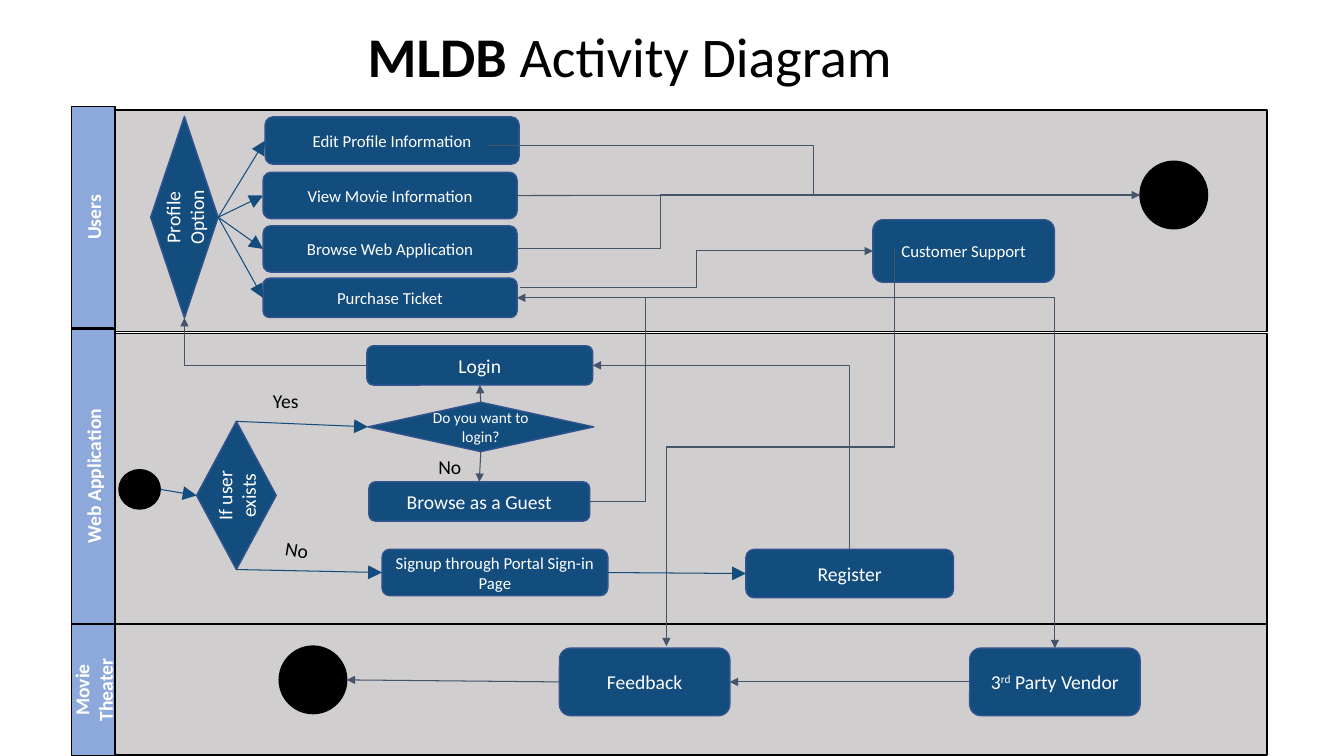
from dataclasses import dataclass
from typing import NamedTuple

from lxml import etree
from pptx import Presentation
from pptx.dml.color import RGBColor
from pptx.enum.shapes import MSO_CONNECTOR, MSO_SHAPE
from pptx.enum.text import MSO_ANCHOR, PP_ALIGN
from pptx.oxml.ns import qn
from pptx.util import Inches, Pt

RECTANGLE = MSO_SHAPE.RECTANGLE
ROUNDED = MSO_SHAPE.ROUNDED_RECTANGLE
DIAMOND = MSO_SHAPE.DIAMOND
CIRCLE = MSO_SHAPE.OVAL
STRAIGHT = MSO_CONNECTOR.STRAIGHT
ELBOW = MSO_CONNECTOR.ELBOW
CENTER = PP_ALIGN.CENTER
LEFT = PP_ALIGN.LEFT
TOP = MSO_ANCHOR.TOP
MIDDLE = MSO_ANCHOR.MIDDLE
BOTTOM = MSO_ANCHOR.BOTTOM

CELL = 0.1
FONT = "Calibri"
BLACK = "000000"
WHITE = "FFFFFF"
LANE_FILL = "D0CECE"
LANE_LABEL = "8DA9DB"
NODE_FILL = "134D7E"
NODE_LINE = "31538F"
FLOW_LINE = "44546A"


class Box(NamedTuple):
    column: float
    row: float
    columns: float
    rows: float


class Piece(NamedTuple):
    text: str
    bold: bool = False
    raised: bool = False


class Anchor(NamedTuple):
    node: str
    side: str
    columns: float = 0
    rows: float = 0


@dataclass
class Lane:
    name: str
    box: Box
    label_row: float
    label_rows: float


@dataclass
class Node:
    box: Box
    kind: int
    pieces: tuple = ()
    size: float = 14
    upright: bool = False
    fill: str = NODE_FILL
    line: str = NODE_LINE


@dataclass
class Note:
    text: str
    box: Box
    rotation: float = 0


@dataclass
class Link:
    begin: Anchor
    end: Anchor
    color: str = FLOW_LINE
    route: str = "straight"
    bend: float = 0.5
    arrow: bool = True


def activity(text: str, box: Box, size: float = 14) -> Node:
    return Node(box, ROUNDED, (Piece(text),), size)


def terminal(box: Box) -> Node:
    return Node(box, CIRCLE, fill=BLACK, line=BLACK)


LANES = [
    Lane("Users", Box(11.4, 10.9, 114.3, 22), 10.55, 22),
    Lane("Web Application", Box(11.4, 33.1, 114.3, 29.4), 32.65, 29.2),
    Lane("Movie Theater", Box(11.4, 61.9, 114.3, 13), 61.95, 13),
]

NODES = {
    "profile": Node(Box(14.95, 11.55, 6.7, 20), DIAMOND, (Piece("Profile Option"),), upright=True),
    "start": terminal(Box(11.8, 46.6, 4.1, 3.9)),
    "edit": activity("Edit Profile Information", Box(26.3, 11.6, 25.2, 4.7), 12),
    "view": activity("View Movie Information", Box(26.1, 17.1, 25.2, 4.6), 12),
    "browse": activity("Browse Web Application", Box(26.1, 22.4, 25.2, 4.6), 12),
    "ticket": activity("Purchase Ticket", Box(26.1, 27.6, 25.2, 3.9), 12),
    "support": activity("Customer Support", Box(86.6, 21.8, 18, 6.2), 12),
    "users end": terminal(Box(113.1, 16, 6.7, 6.7)),
    "login": activity("Login", Box(36.4, 34.3, 22.4, 3.9)),
    "wants login": Node(Box(36.5, 39.9, 22.4, 4.9), DIAMOND, (Piece("Do you want to login?"),), 11),
    "exists": Node(Box(19.5, 41.8, 7.9, 14.7), DIAMOND, (Piece("If user exists"),), upright=True),
    "guest": activity("Browse as a Guest", Box(36.6, 47.8, 21.9, 3.9)),
    "signup": activity("Signup through Portal Sign-in Page", Box(37.9, 54.5, 22.4, 4.6), 12),
    "register": activity("Register", Box(74, 54.5, 20.6, 4.8)),
    "theater end": terminal(Box(27.7, 64.1, 6.7, 6.7)),
    "feedback": activity("Feedback", Box(55.5, 64.3, 16.9, 6.7)),
    "vendor": Node(Box(96.2, 64.3, 16.9, 6.7), ROUNDED,
                   (Piece("3"), Piece("rd", raised=True), Piece(" Party Vendor"))),
}

NOTES = [
    Note("Yes", Box(26.1, 38, 6.7, 1.6)),
    Note("No", Box(27.5, 52.6, 6.7, 2.2), 9.2),
    Note("No", Box(42.5, 44.4, 4.9, 1.7)),
]

LINKS = [
    *(Link(Anchor("profile", "right"), Anchor(option, "left"), NODE_FILL)
      for option in ("edit", "view", "browse", "ticket")),
    Link(Anchor("start", "right"), Anchor("exists", "left"), NODE_FILL),
    Link(Anchor("exists", "top"), Anchor("wants login", "left"), NODE_FILL),
    Link(Anchor("exists", "bottom"), Anchor("signup", "left"), NODE_FILL),
    Link(Anchor("signup", "right"), Anchor("register", "left"), NODE_FILL),
    Link(Anchor("wants login", "top"), Anchor("login", "bottom")),
    Link(Anchor("wants login", "bottom"), Anchor("guest", "top")),
    Link(Anchor("feedback", "left"), Anchor("theater end", "right")),
    Link(Anchor("vendor", "left"), Anchor("feedback", "right")),
    Link(Anchor("login", "left"), Anchor("profile", "bottom"), route="corner"),
    Link(Anchor("guest", "right"), Anchor("ticket", "right"), route="step", bend=-0.77),
    Link(Anchor("register", "top"), Anchor("login", "right"), route="upright corner"),
    Link(Anchor("ticket", "right"), Anchor("vendor", "top"), route="corner"),
    Link(Anchor("support", "left", 2.1, -0.3), Anchor("feedback", "top", 2.15, -0.2),
         route="upright step"),
    Link(Anchor("browse", "right"), Anchor("users end", "left"), route="step", bend=0.23,
         arrow=False),
    Link(Anchor("edit", "right", -3.1, 0.45), Anchor("users end", "left"), route="step"),
    Link(Anchor("view", "right"), Anchor("users end", "left"), arrow=False),
    Link(Anchor("ticket", "right", 0.3, -1), Anchor("support", "left"), route="step"),
]


def color(value: str) -> RGBColor:
    return RGBColor.from_string(value)


def emu(*cells: float) -> list:
    return [Inches(cell * CELL) for cell in cells]


def turned(box: Box) -> Box:
    shift = (box.columns - box.rows) / 2
    return Box(box.column + shift, box.row - shift, box.rows, box.columns)


def write(shape, pieces, size, ink, align, anchor, insets) -> None:
    frame = shape.text_frame
    frame.word_wrap = True
    frame.vertical_anchor = anchor
    frame.margin_left = frame.margin_right = Inches(insets[0])
    frame.margin_top = frame.margin_bottom = Inches(insets[1])
    paragraph = frame.paragraphs[0]
    paragraph.alignment = align
    for piece in pieces:
        run = paragraph.add_run()
        run.text = piece.text
        run.font.name = FONT
        run.font.size = Pt(size)
        run.font.bold = piece.bold
        run.font.color.rgb = color(ink)
        if piece.raised:
            run.font._element.set("baseline", "30000")


def draw_node(slide, node: Node) -> None:
    box = turned(node.box) if node.upright else node.box
    shape = slide.shapes.add_shape(node.kind, *emu(*box))
    shape.rotation = 270 if node.upright else 0
    shape.shadow.inherit = False
    shape.fill.solid()
    shape.fill.fore_color.rgb = color(node.fill)
    shape.line.color.rgb = color(node.line)
    shape.line.width = Pt(1)
    write(shape, node.pieces, node.size, WHITE, CENTER, MIDDLE, (0.07, 0.04))


def draw_lane(slide, lane: Lane) -> None:
    draw_node(slide, Node(lane.box, RECTANGLE, fill=LANE_FILL, line=BLACK))
    label = Box(7.1, lane.label_row, 4.3, lane.label_rows)
    draw_node(slide, Node(label, RECTANGLE, (Piece(lane.name, bold=True),), upright=True,
                          fill=LANE_LABEL, line=BLACK))


def draw_note(slide, note: Note) -> None:
    shape = slide.shapes.add_textbox(*emu(*note.box))
    shape.rotation = note.rotation
    write(shape, (Piece(note.text),), 14, BLACK, LEFT, TOP, (0.1, 0.1))


def locate(anchor: Anchor) -> tuple:
    box = NODES[anchor.node].box
    across, down = {"left": (0, 0.5), "right": (1, 0.5), "top": (0.5, 0),
                    "bottom": (0.5, 1)}[anchor.side]
    return (box.column + across * box.columns + anchor.columns,
            box.row + down * box.rows + anchor.rows)


def draw_link(slide, link: Link) -> None:
    begin, end = locate(link.begin), locate(link.end)
    upright = link.route.startswith("upright")
    if upright:
        middle, center = [(first + last) / 2 for first, last in zip(begin, end)]
        begin, end = [(middle + row - center, center - column + middle)
                      for column, row in (begin, end)]
    kind = STRAIGHT if link.route == "straight" else ELBOW
    connector = slide.shapes.add_connector(kind, *emu(*begin, *end))
    connector.line.color.rgb = color(link.color)
    connector.line.width = Pt(0.75)
    properties = connector.element.spPr
    if upright:
        properties.find(qn("a:xfrm")).set("rot", str(90 * 60000))
    geometry = properties.find(qn("a:prstGeom"))
    if link.route.endswith("corner"):
        geometry.set("prst", "bentConnector2")
    elif link.route.endswith("step"):
        etree.SubElement(geometry.find(qn("a:avLst")), qn("a:gd"), name="adj1",
                         fmla=f"val {round(link.bend * 100000)}")
    if link.arrow:
        scale = "lg" if link.color == NODE_FILL else "med"
        etree.SubElement(properties.find(qn("a:ln")), qn("a:tailEnd"), type="triangle",
                         w=scale, len=scale)
    etree.SubElement(properties, qn("a:effectLst"))


def main() -> None:
    presentation = Presentation()
    presentation.slide_width, presentation.slide_height = emu(133.33, 75)
    slide = presentation.slides.add_slide(presentation.slide_layouts[6])
    title = slide.shapes.add_textbox(*emu(35.5, 1.8, 66, 7.6))
    write(title, (Piece("MLDB ", bold=True), Piece("Activity Diagram")), 40, BLACK, LEFT,
          BOTTOM, (0.1, 0.05))
    title.text_frame.paragraphs[0].line_spacing = 0.9
    for draw, items in ((draw_lane, LANES), (draw_node, NODES.values()),
                        (draw_note, NOTES), (draw_link, LINKS)):
        for item in items:
            draw(slide, item)
    presentation.save("out.pptx")


if __name__ == "__main__":
    main()
